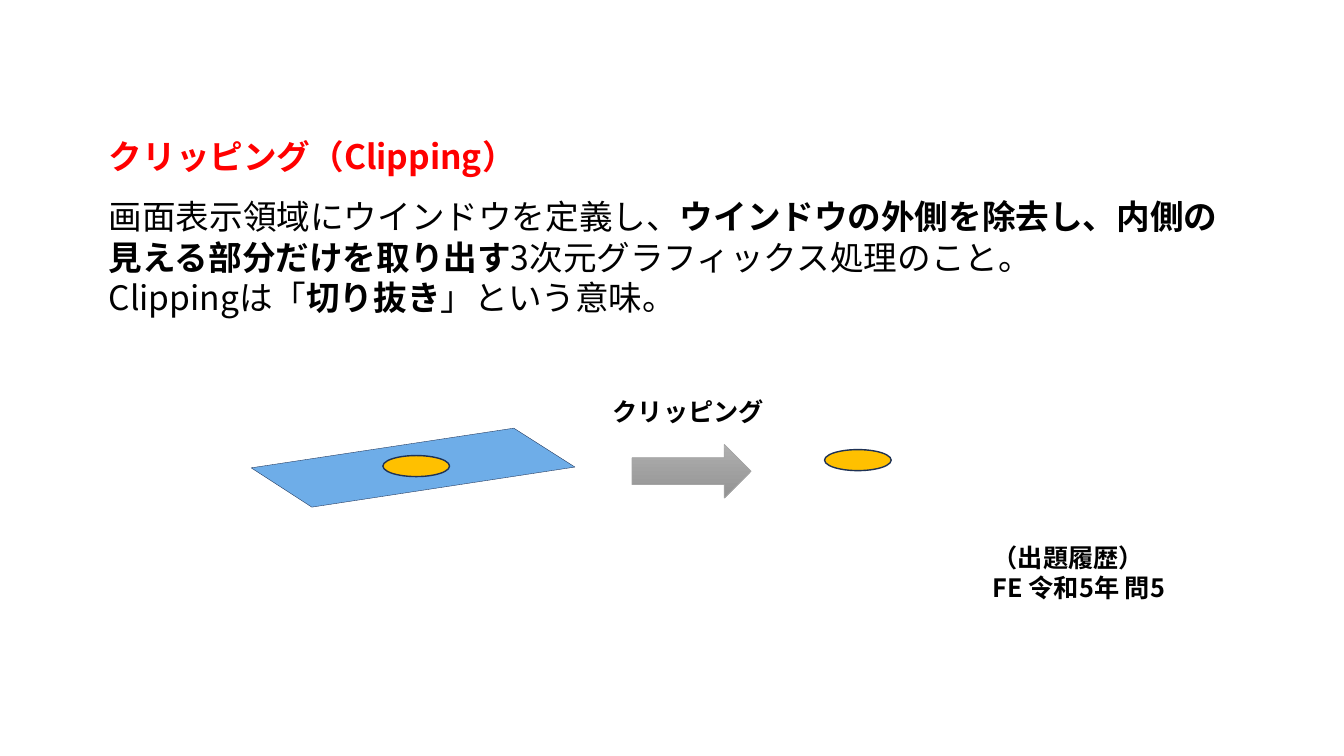
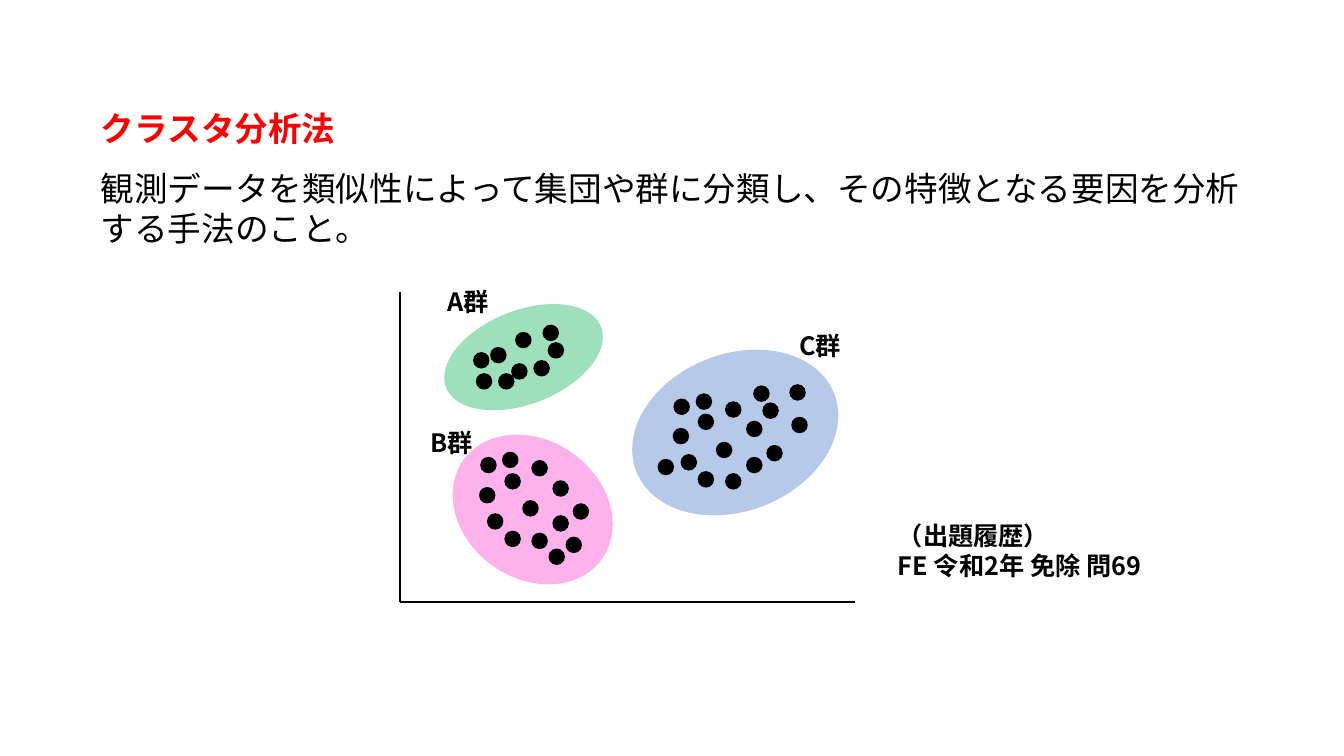
from lxml import etree
from pptx import Presentation
from pptx import util as u
from pptx.dml.color import RGBColor
from pptx.enum import dml, shapes, text
from pptx.oxml.ns import qn

FONT = "Noto Sans CJK JP"
RED, BLACK, NAVY, GOLD = "FF0000", "000000", "1E3256", "FFC000"
PLANE_BLUE, ARROW_GREY = "6EADE8", "A5A5A5"
TITLE_STEP = 1.52
LABEL_HEIGHT = 1.02
DOT = 0.38
OVAL = shapes.MSO_SHAPE.OVAL

CLIPPING = {
    "title": "クリッピング（Clipping）",
    "at": (2.49, 3.3, 29.67),
    "body_height": 3.35,
    "body": [
        [("画面表示領域にウインドウを定義し、", False),
         ("ウインドウの外側を除去し、内側の　見える部分だけを取り出す", True),
         ("3次元グラフィックス処理のこと。", False)],
        [("Clippingは「", False), ("切り抜き", True), ("」という意味。", False)],
    ],
    "history": ("FE 令和5年 問5", (24.77, 13.54, 5.26, 1.8)),
}
CLUSTERS = {
    "title": "クラスタ分析法",
    "at": (2.29, 2.59, 29.31),
    "body_height": 2.31,
    "body": [[("観測データを類似性によって集団や群に分類し、"
               "その特徴となる要因を分析する手法のこと。", False)]],
    "history": ("FE 令和2年 免除 問69", (22.38, 12.98, 8.26, 1.8)),
}

PLANE = [(6.33, 11.79), (12.95, 10.79), (14.49, 11.77), (7.86, 12.78)]
DISCS = [(9.65, 11.48), (20.78, 11.33)]
DISC_SIZE = (1.68, 0.53)

AXIS_ORIGIN = (10.08, 15.16)
AXIS_ENDS = [(10.08, 7.37), (21.54, 15.16)]
GROUPS = [
    {"label": "C群", "label_at": (19.89, 8.2), "color": "4472C4",
     "area": (15.85, 8.92, 5.36, 3.96), "turn": 338.6,
     "dots": [(17.17, 11.46), (17.6, 11.89), (18.29, 11.94), (17.6, 10.44),
              (18.06, 11.15), (18.82, 11.53), (18.82, 10.62), (16.59, 11.58),
              (19, 9.73), (19.33, 11.23), (16.97, 10.8), (16.99, 10.06),
              (17.55, 9.93), (18.29, 10.13), (19.23, 10.16), (19.96, 10.52),
              (19.91, 9.7)]},
    {"label": "A群", "label_at": (11.02, 7.09), "color": "00B050",
     "area": (11.1, 7.82, 4.19, 2.36), "turn": 338.6,
     "dots": [(12.57, 9.42), (12.9, 9.17), (13, 8.38), (13.46, 9.09),
              (13.82, 8.64), (12.01, 9.42), (12.37, 8.76), (11.94, 8.89),
              (13.69, 8.2)]},
    {"label": "B群", "label_at": (10.59, 10.64), "color": "FF33CC",
     "area": (11.28, 11.1, 4.29, 3.48), "turn": 35.5,
     "dots": [(12.29, 12.95), (12.73, 13.39), (13.41, 13.44), (12.73, 11.94),
              (13.18, 12.62), (13.94, 13), (13.94, 12.12), (13.84, 13.84),
              (14.27, 13.54), (14.45, 12.7), (12.09, 12.29), (12.12, 11.53),
              (12.67, 11.4), (13.41, 11.61)]},
]


def rgb(value):
    return RGBColor.from_string(value)


def cm(*values):
    return [u.Cm(value) for value in values]


def format_span(span, size, color, bold):
    span.font.name = FONT
    span.font.size = u.Pt(size)
    span.font.bold = bold
    span.font.color.rgb = rgb(color)
    east_asian = etree.SubElement(span.font._element, qn("a:ea"))
    east_asian.set("typeface", FONT)


def add_text(page, area, paragraphs, size=18):
    box = page.shapes.add_textbox(*cm(*area))
    frame = box.text_frame
    frame.word_wrap = True
    frame.auto_size = text.MSO_AUTO_SIZE.SHAPE_TO_FIT_TEXT
    for index, spans in enumerate(paragraphs):
        para = frame.add_paragraph() if index else frame.paragraphs[0]
        for words, bold in spans:
            span = para.add_run()
            span.text = words
            format_span(span, size, BLACK, bold)


def paint(shape, fill, line=None, width=1.0, opacity=None):
    shape.shadow.inherit = False
    shape.fill.solid()
    shape.fill.fore_color.rgb = rgb(fill)
    if opacity:
        color = shape.fill._xPr.find(qn("a:solidFill"))[0]
        etree.SubElement(color, qn("a:alpha")).set("val", str(opacity * 1000))
    if line:
        shape.line.color.rgb = rgb(line)
        shape.line.width = u.Pt(width)
    else:
        shape.line.fill.background()
    return shape


def add_page(deck, topic):
    page = deck.slides.add_slide(deck.slide_layouts[5])
    left, top, width = topic["at"]
    title = page.shapes.title
    title.left, title.top, title.width, title.height = cm(left, top, width, 1.27)
    frame = title.text_frame
    frame.text = topic["title"]
    frame.word_wrap = True
    frame.auto_size = text.MSO_AUTO_SIZE.NONE
    frame.vertical_anchor = text.MSO_ANCHOR.TOP
    para = frame.paragraphs[0]
    para.alignment = text.PP_ALIGN.LEFT
    para.line_spacing = 1.0
    format_span(para.runs[0], 24, RED, True)
    return page


def add_topic_text(page, topic):
    left, top, width = topic["at"]
    body_area = (left, top + TITLE_STEP, width, topic["body_height"])
    add_text(page, body_area, topic["body"], 24)
    exam, area = topic["history"]
    add_text(page, area, [[("（出題履歴）", True)], [(exam, True)]])


def draw_clipping(page):
    points = [cm(*point) for point in PLANE]
    builder = page.shapes.build_freeform(*points[0])
    builder.add_line_segments(points[1:], close=True)
    paint(builder.convert_to_shape(), PLANE_BLUE, NAVY, 0.25)
    for spot in DISCS:
        disc = page.shapes.add_shape(OVAL, *cm(*spot, *DISC_SIZE))
        paint(disc, GOLD, NAVY)
    arrow = page.shapes.add_shape(shapes.MSO_SHAPE.RIGHT_ARROW,
                                  *cm(15.93, 11.2, 3, 1.35))
    paint(arrow, ARROW_GREY, ARROW_GREY, 0.5)
    arrow.fill.gradient()
    arrow.fill.gradient_angle = 270
    for stop, color in zip(arrow.fill.gradient_stops, ("AFAFAF", "939393")):
        stop.color.rgb = rgb(color)
    add_text(page, (15.19, 9.86, 4.47, LABEL_HEIGHT), [[("クリッピング", True)]])


def draw_clusters(page):
    for group in GROUPS:
        area = page.shapes.add_shape(OVAL, *cm(*group["area"]))
        area.rotation = group["turn"]
        paint(area, group["color"], opacity=38)
    for end in AXIS_ENDS:
        axis = page.shapes.add_connector(shapes.MSO_CONNECTOR.STRAIGHT,
                                         *cm(*AXIS_ORIGIN, *end))
        axis.line.color.rgb = rgb(BLACK)
        axis.line.width = u.Pt(1.5)
        etree.SubElement(axis._element.spPr, qn("a:effectLst"))
    for group in GROUPS:
        for spot in group["dots"]:
            dot = page.shapes.add_shape(OVAL, *cm(*spot, DOT, DOT))
            paint(dot, BLACK, BLACK)
        add_text(page, (*group["label_at"], 1.85, LABEL_HEIGHT),
                 [[(group["label"], True)]])


def main():
    deck = Presentation()
    deck.slide_width, deck.slide_height = cm(33.87, 19.05)
    for topic, draw in ((CLIPPING, draw_clipping), (CLUSTERS, draw_clusters)):
        page = add_page(deck, topic)
        add_topic_text(page, topic)
        draw(page)
    deck.save("out.pptx")


if __name__ == "__main__":
    main()
